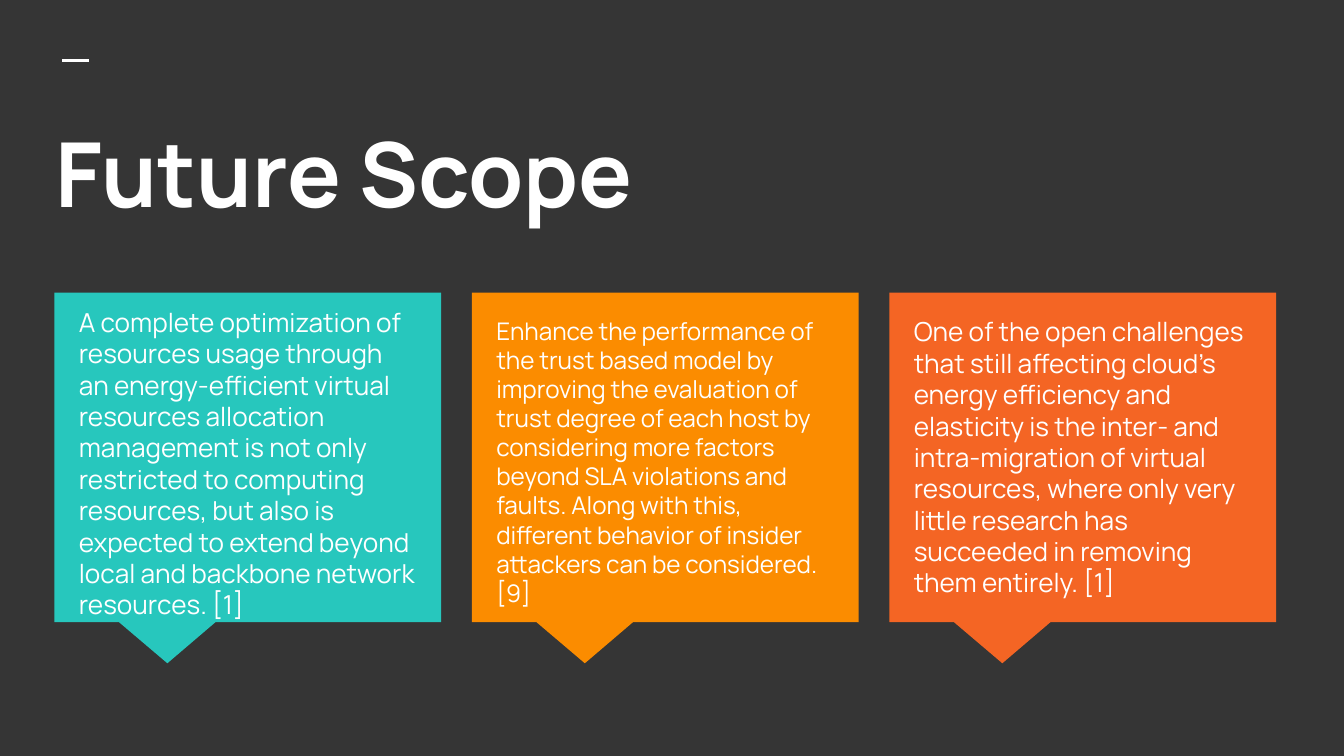
from lxml.etree import SubElement
from pptx import Presentation
from pptx.dml.color import RGBColor
from pptx.enum.shapes import MSO_CONNECTOR, MSO_SHAPE
from pptx.enum.text import MSO_ANCHOR, MSO_AUTO_SIZE, PP_ALIGN
from pptx.oxml.ns import qn
from pptx.util import Cm, Pt

CHARCOAL = RGBColor(0x35, 0x35, 0x35)
WHITE = RGBColor(0xFF, 0xFF, 0xFF)
TEAL = RGBColor(0x27, 0xC7, 0xBD)
AMBER = RGBColor(0xFB, 0x8C, 0x00)
ORANGE = RGBColor(0xF4, 0x65, 0x24)


def write_text(frame, text, size=14, bold=False, space_after=0):
    frame.word_wrap = True
    frame.auto_size = MSO_AUTO_SIZE.NONE
    frame.vertical_anchor = MSO_ANCHOR.TOP
    frame.margin_left = frame.margin_right = Cm(0.25)
    frame.margin_top = frame.margin_bottom = Cm(0.25)
    paragraph = frame.paragraphs[0]
    paragraph.alignment = PP_ALIGN.LEFT
    paragraph.line_spacing = 1.0
    paragraph.space_before = Pt(0)
    paragraph.space_after = Pt(space_after)
    run = paragraph.add_run()
    run.text = text
    run.font.name = "Manrope"
    run.font.size = Pt(size)
    run.font.bold = bold
    run.font.color.rgb = WHITE


prs = Presentation()
prs.slide_width, prs.slide_height = Cm(25.4), Cm(14.29)
slide = prs.slides.add_slide(prs.slide_layouts[5])
slide.background.fill.solid()
slide.background.fill.fore_color.rgb = CHARCOAL

# Dash above the title
dash = slide.shapes.add_connector(MSO_CONNECTOR.STRAIGHT, Cm(1.18), Cm(1.15), Cm(1.69), Cm(1.15))
dash.line.color.rgb = WHITE
dash.line.width = Pt(1.5)
SubElement(dash._element.spPr, qn("a:effectLst"))

# Title
title = slide.shapes.title
title.left, title.top, title.width, title.height = Cm(0.79), Cm(1.98), Cm(23.95), Cm(2.84)
write_text(title.text_frame, "Future Scope", size=48, bold=True)

# Three callouts: colour, text top, font size, space after, text
ideas = [
    (TEAL, 5.54, 14, 12,
     "A complete optimization of resources usage through an energy-efficient virtual "
     "resources allocation management is not only restricted to computing resources, "
     "but also is expected to extend beyond local and backbone network resources. [1]"),
    (AMBER, 5.72, 13, 0,
     "Enhance the performance of the trust based model by improving the evaluation of "
     "trust degree of each host by considering more factors beyond SLA violations and "
     "faults. Along with this, different behavior of insider attackers can be considered. [9]"),
    (ORANGE, 5.72, 14, 12,
     "One of the open challenges that still affecting cloud’s energy efficiency and "
     "elasticity is the inter- and intra-migration of virtual resources, where only very "
     "little research has succeeded in removing them entirely. [1]"),
]
for column, (color, text_top, size, space_after, text) in enumerate(ideas):
    left = 1.03 + column * 7.89
    callout = slide.shapes.add_shape(
        MSO_SHAPE.RECTANGULAR_CALLOUT, Cm(left), Cm(5.53), Cm(7.31), Cm(6.23))
    callout.adjustments[0] = -0.208
    callout.adjustments[1] = 0.625
    callout.fill.solid()
    callout.fill.fore_color.rgb = color
    callout.line.fill.background()
    callout.shadow.inherit = False

    idea = slide.shapes.add_textbox(Cm(left + 0.21), Cm(text_top), Cm(6.88), Cm(5.56))
    write_text(idea.text_frame, text, size=size, space_after=space_after)

prs.save("out.pptx")
